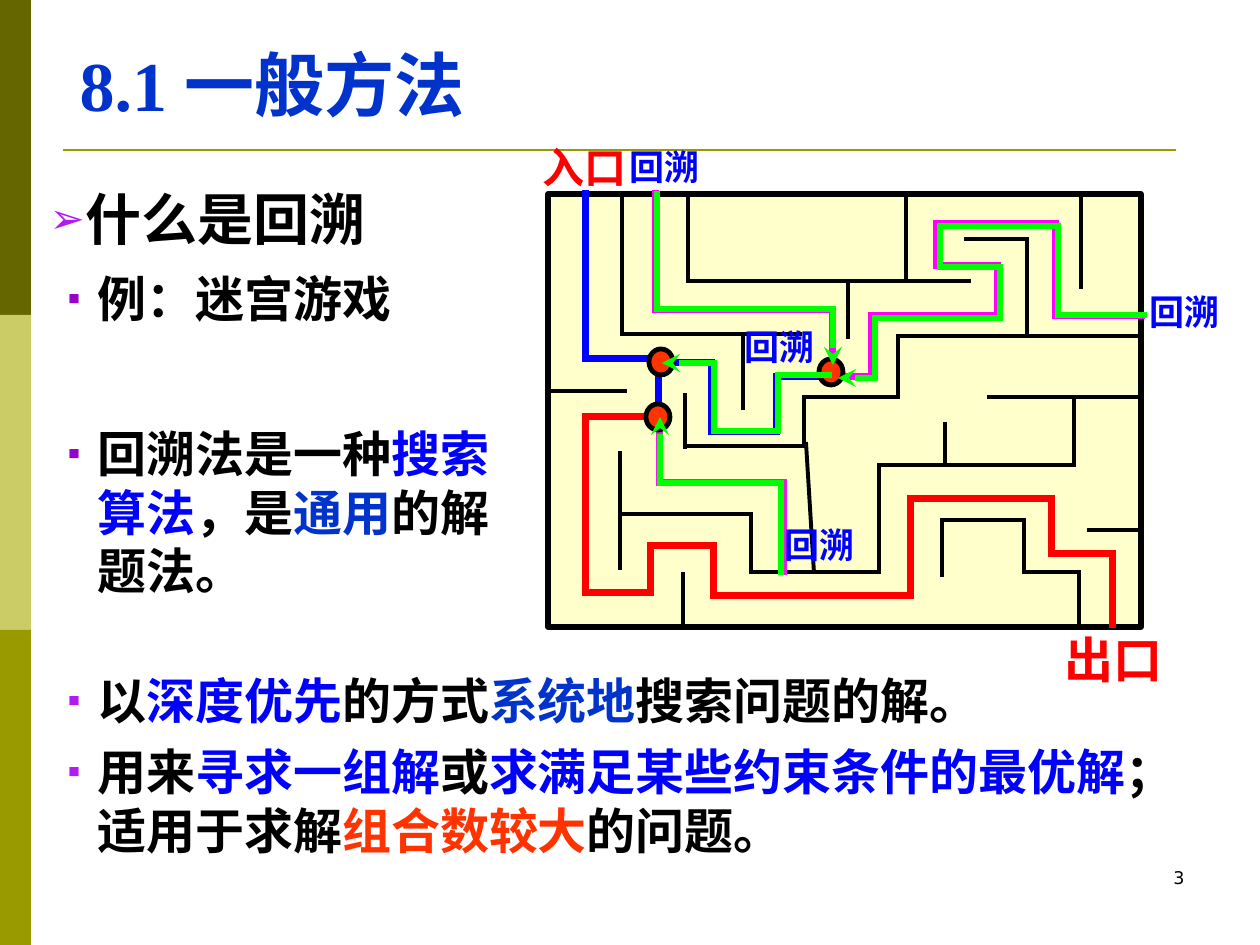
from itertools import pairwise

from lxml import etree
from pptx import Presentation
from pptx import util as u
from pptx.dml.color import RGBColor
from pptx.enum import shapes, text
from pptx.oxml.ns import qn

PX = 914400 // 126  # EMU per px, 126 px to the inch
BLACK = RGBColor(0x00, 0x00, 0x00)
RED = RGBColor(0xFF, 0x00, 0x00)
ORANGE = RGBColor(0xFF, 0x33, 0x00)
BLUE = RGBColor(0x00, 0x00, 0xFF)
ROYAL = RGBColor(0x00, 0x33, 0xCC)
MAGENTA = RGBColor(0xFF, 0x00, 0xFF)
PINK = RGBColor(0xE9, 0x1D, 0xE4)
GREEN = RGBColor(0x00, 0xFF, 0x00)
PURPLE = RGBColor(0x99, 0x00, 0xCC)
VIOLET = RGBColor(0xB2, 0x1B, 0xEF)
CREAM = RGBColor(0xFF, 0xFF, 0xCC)
OLIVE = RGBColor(0x99, 0x99, 0x00)
DARK_OLIVE = RGBColor(0x66, 0x66, 0x00)
LIGHT_OLIVE = RGBColor(0xCC, 0xCC, 0x66)


def write(sp, box, paragraphs, size, font="Times New Roman", bold=True, spacing=1.0,
          before=0, align=text.PP_ALIGN.LEFT, anchor=text.MSO_ANCHOR.TOP,
          bullet=None, bullet_color=None, indent=0):
    """Place a shape and fill it; each paragraph is a list of (text, colour) runs."""
    sp.left, sp.top, sp.width, sp.height = (v * PX for v in box)
    tf = sp.text_frame
    tf.word_wrap = True
    tf.auto_size = text.MSO_AUTO_SIZE.NONE
    tf.vertical_anchor = anchor
    for i, runs in enumerate(paragraphs):
        p = tf.add_paragraph() if i else tf.paragraphs[0]
        if bullet:
            pPr = p._p.get_or_add_pPr()
            pPr.set("marL", str(indent * PX))
            pPr.set("indent", str(-indent * PX))
            clr = etree.SubElement(pPr, qn("a:buClr"))
            etree.SubElement(clr, qn("a:srgbClr"), val=str(bullet_color))
            etree.SubElement(pPr, qn("a:buSzPct"), val="75000")
            etree.SubElement(pPr, qn("a:buFont"), typeface="Arial")
            etree.SubElement(pPr, qn("a:buChar"), char=bullet)
        p.alignment = align
        p.line_spacing = spacing
        p.space_before = u.Pt(before if i else 0)
        for words, color in runs:
            r = p.add_run()
            r.text = words
            r.font.name, r.font.size, r.font.bold = font, u.Pt(size), bold
            r.font.color.rgb = color


def draw_path(points, color, width, arrow=False):
    """Join the points with straight lines; an arrowhead may sit on the first."""
    for i, ((x1, y1), (x2, y2)) in enumerate(pairwise(points)):
        c = s.shapes.add_connector(shapes.MSO_CONNECTOR.STRAIGHT,
                                   x1 * PX, y1 * PX, x2 * PX, y2 * PX)
        c.line.color.rgb = color
        c.line.width = u.Pt(width)
        ln = c.line._get_or_add_ln()
        if arrow and i == 0:
            etree.SubElement(ln, qn("a:headEnd"), type="stealth")
        elif len(points) > 2:
            ln.set("cap", "sq")  # closes the corners
        etree.SubElement(c._element.spPr, qn("a:effectLst"))


prs = Presentation()
prs.slide_width, prs.slide_height = u.Inches(10), u.Inches(7.5)
s = prs.slides.add_slide(prs.slide_layouts[4])

# Title and the four lists
write(s.shapes.title, (67, 48, 581, 82), [[("8.1 一般方法", ROYAL)]], 40,
      spacing=0.7, anchor=text.MSO_ANCHOR.BOTTOM)
write(s.placeholders[1], (37, 186, 467, 73), [[("什么是回溯", BLACK)]], 32,
      spacing=0.9, bullet="➢", bullet_color=VIOLET, indent=36)
write(s.placeholders[2], (55, 262, 383, 72), [[("例：迷宫游戏", BLACK)]], 28,
      bullet="▪", bullet_color=PURPLE, indent=30)
write(s.placeholders[3], (55, 417, 472, 189),
      [[("回溯法是一种", BLACK), ("搜索算法", BLUE), ("，是", BLACK),
        ("通用", ROYAL), ("的解题法。", BLACK)]], 28,
      font="Arial", bullet="▪", bullet_color=PURPLE, indent=30)
write(s.placeholders[4], (55, 664, 1106, 202),
      [[("以", BLACK), ("深度优先", BLUE), ("的方式", BLACK), ("系统地", ROYAL),
        ("搜索问题的解。", BLACK)],
       [("用来", BLACK), ("寻求一组解", BLUE), ("或", BLACK),
        ("求满足某些约束条件的最优解", BLUE), ("；适用于求解", BLACK),
        ("组合数较大", ORANGE), ("的问题。", BLACK)]], 28,
      before=7, bullet="▪", bullet_color=VIOLET, indent=30)

# Side band and the rule under the title
for i, color in enumerate((DARK_OLIVE, LIGHT_OLIVE, OLIVE)):
    band = s.shapes.add_shape(shapes.MSO_SHAPE.RECTANGLE, 0, i * 315 * PX, 31 * PX, 315 * PX)
    band.shadow.inherit = False
    band.fill.solid()
    band.fill.fore_color.rgb = color
    band.line.fill.background()
draw_path([(63, 150), (1176, 150)], OLIVE, 1.5)

# Maze
maze = s.shapes.add_shape(shapes.MSO_SHAPE.RECTANGLE, 548 * PX, 194 * PX, 593 * PX, 433 * PX)
maze.shadow.inherit = False
maze.fill.solid()
maze.fill.fore_color.rgb = CREAM
maze.line.color.rgb = BLACK
maze.line.width = u.Pt(3)

walls = [
    [(622, 194), (622, 334), (800, 334)],
    [(688, 194), (688, 281), (969, 281)],
    [(743, 334), (743, 410)],
    [(848, 281), (848, 339)],
    [(906, 194), (906, 281)],
    [(966, 239), (1027, 239), (1027, 336)],
    [(1139, 336), (898, 336), (898, 397), (806, 397)],
    [(1081, 194), (1081, 289)],
    [(548, 391), (627, 391)],
    [(804, 397), (804, 446), (688, 446)],
    [(685, 449), (685, 393)],
    [(620, 451), (620, 570)],
    [(620, 514), (751, 514), (751, 572), (879, 572)],
    [(1079, 627), (1079, 572), (1024, 572), (1024, 520), (942, 520), (942, 575)],
    [(1087, 530), (1139, 530)],
    [(1139, 397), (987, 397)],
    [(1074, 397), (1074, 465), (879, 465), (879, 572)],
    [(683, 572), (683, 625)],
    [(945, 465), (945, 422)],
    [(814, 572), (806, 442)],
]
for wall in walls:
    draw_path(wall, BLACK, 2.25)

# Ways walked forward
forward = [
    (BLUE, [(586, 194), (586, 359), (659, 359), (659, 417)]),
    (RED, [(659, 417), (586, 417), (586, 593), (651, 593), (651, 546), (714, 546),
           (714, 596), (911, 596), (911, 499), (1052, 499), (1052, 554), (1113, 554),
           (1113, 625)]),
    (BLUE, [(656, 363), (712, 363), (712, 432), (777, 432), (777, 377), (832, 377)]),
    (MAGENTA, [(833, 373), (833, 310), (656, 310), (656, 194)]),
    (MAGENTA, [(832, 377), (872, 377), (872, 316), (998, 316), (998, 266), (937, 266),
               (937, 224), (1056, 224), (1056, 316), (1142, 316)]),
    (PINK, [(660, 415), (660, 483), (784, 483), (784, 572)]),
]
for color, points in forward:
    draw_path(points, color, 4)

# Junctions
for x, y in ((649, 349), (819, 359), (646, 404)):
    dot = s.shapes.add_shape(shapes.MSO_SHAPE.OVAL, x * PX, y * PX, 24 * PX, 26 * PX)
    dot.shadow.inherit = False
    dot.fill.solid()
    dot.fill.fore_color.rgb = ORANGE
    dot.line.color.rgb = BLACK
    dot.line.width = u.Pt(2.75)

# Ways back, each pointing at its junction
backward = [
    [(833, 365), (833, 309), (657, 309), (657, 194)],
    [(838, 378), (875, 378), (875, 318), (1000, 318), (1000, 267), (940, 267),
     (940, 226), (1058, 226), (1058, 315), (1144, 315)],
    [(662, 363), (714, 363), (714, 431), (778, 431), (778, 375), (829, 375)],
    [(660, 417), (660, 483), (781, 483), (781, 572)],
]
for points in backward:
    draw_path(points, GREEN, 3.5, arrow=True)

# Labels and slide number
for x, y in ((617, 139), (1137, 284), (772, 517), (732, 319)):
    write(s.shapes.add_textbox(0, 0, 0, 0), (x, y, 105, 55), [[("回溯", BLUE)]], 20)
write(s.shapes.add_textbox(0, 0, 0, 0), (530, 145, 118, 53), [[("入口", RED)]], 24, spacing=0.8)
write(s.shapes.add_textbox(0, 0, 0, 0), (1052, 635, 129, 60), [[("出口", RED)]], 28, spacing=0.8)
write(s.shapes.add_textbox(0, 0, 0, 0), (903, 861, 294, 63), [[("3", BLACK)]], 10,
      font="DejaVu Sans", bold=False, align=text.PP_ALIGN.RIGHT)

prs.save("out.pptx")
